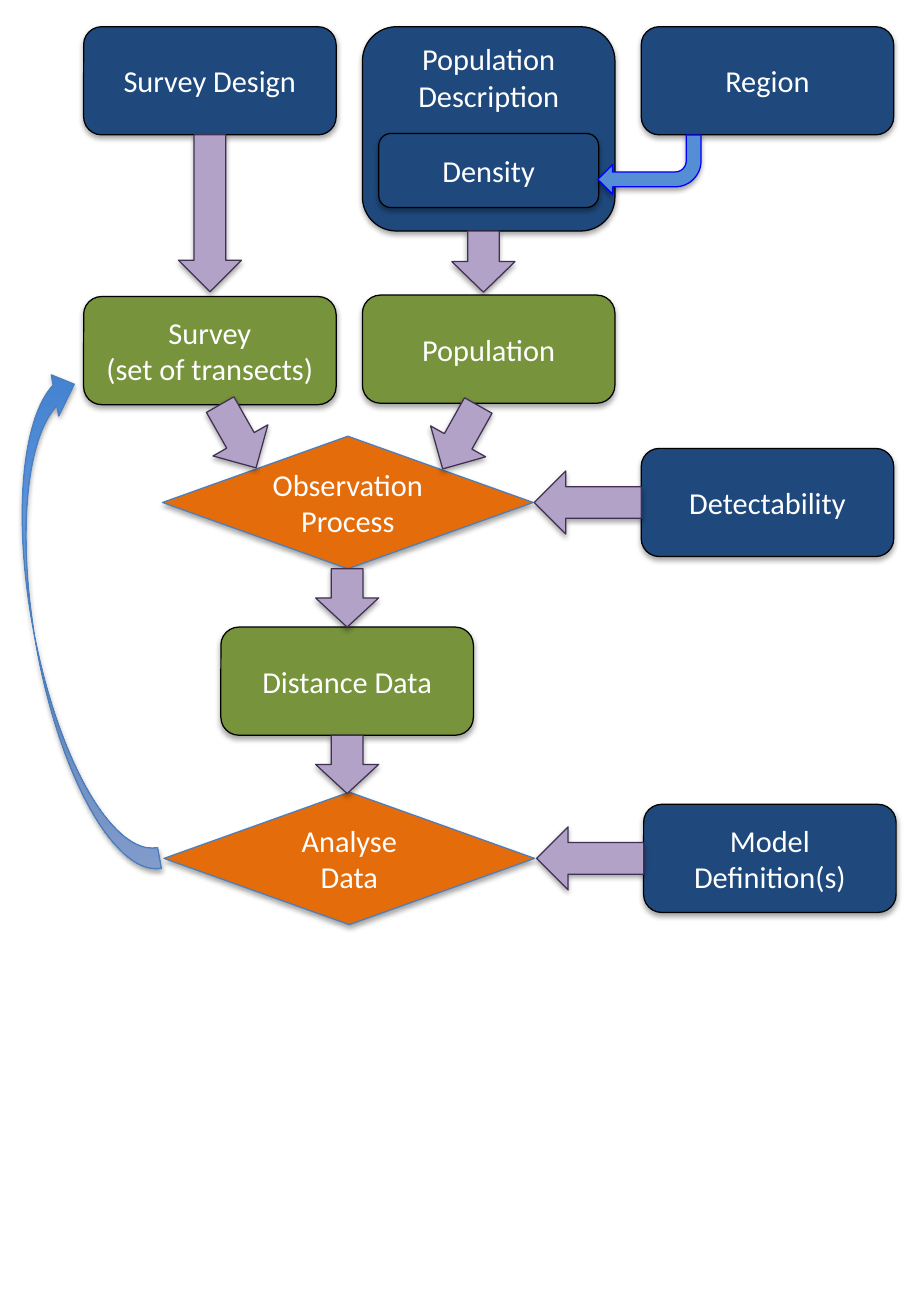
import pptx
import pptx.util
import pptx.dml.color
import pptx.enum.shapes
import pptx.enum.text
import pptx.oxml
import pptx.oxml.ns

Cm = pptx.util.Cm
Pt = pptx.util.Pt
MSO = pptx.enum.shapes.MSO_SHAPE
ANCHOR = pptx.enum.text.MSO_ANCHOR
ALIGN = pptx.enum.text.PP_ALIGN

NAVY, GREEN, ORANGE = "1F497D", "77933C", "E46C0A"
LILAC, PLUM, BLUE = "B3A2C7", "403152", "4B7EBC"
NODE_W, NODE_H, ARROW_W, DIAMOND_W = 5.28, 2.26, 1.32, 7.75

SHADOW = (
    '<a:outerShdw %s blurRad="40000" dist="23000" dir="5400000" rotWithShape="0">'
    '<a:srgbClr val="000000"><a:alpha val="35000"/></a:srgbClr></a:outerShdw>'
) % pptx.oxml.ns.nsdecls("a")


def rgb(color):
    return pptx.dml.color.RGBColor.from_string(color)


def write(sp, text, size=18, font="Calibri", color="FFFFFF", anchor=ANCHOR.MIDDLE):
    tf = sp.text_frame
    tf.word_wrap = True
    tf.vertical_anchor = anchor
    for i, line in enumerate(text.split("\n")):
        p = tf.paragraphs[0] if i == 0 else tf.add_paragraph()
        p.alignment = ALIGN.CENTER
        r = p.add_run()
        r.text = line
        r.font.size = Pt(size)
        r.font.name = font
        r.font.color.rgb = rgb(color)


def shape(s, kind, x, y, w, h, fill, line, rotation=0):
    sp = s.shapes.add_shape(kind, Cm(x), Cm(y), Cm(w), Cm(h))
    sp.rotation = rotation
    sp.fill.solid()
    sp.fill.fore_color.rgb = rgb(fill)
    sp.line.color.rgb = rgb(line)
    sp.line.width = Pt(0.75)
    sp.shadow.inherit = False
    effects = sp._element.spPr.find(pptx.oxml.ns.qn("a:effectLst"))
    effects.append(pptx.oxml.parse_xml(SHADOW))
    return sp


def node(s, text, x, y, fill, w=NODE_W, h=NODE_H, **fmt):
    sp = shape(s, MSO.ROUNDED_RECTANGLE, x, y, w, h, fill, "000000")
    write(sp, text, **fmt)
    return sp


def arrow(s, cx, cy, length, rotation=0):
    shape(s, MSO.DOWN_ARROW, cx - ARROW_W / 2, cy - length / 2,
          ARROW_W, length, LILAC, PLUM, rotation)


def definitions(s, x, y, w, h):
    pitch = (w - NODE_W) / 2
    node(s, "Survey Design", x, y, NAVY)
    population = node(s, "Population Description", x + pitch, y, NAVY,
                      h=h, anchor=ANCHOR.TOP)
    population.text_frame.margin_top = Cm(0.08)
    node(s, "Density", x + pitch + 0.34, y + 2.23, NAVY, w=4.6, h=1.55)
    node(s, "Region", x + 2 * pitch, y, NAVY)
    shape(s, MSO.BENT_ARROW, x + 10.75, y + NODE_H, 2.16, 1.24,
          "558ED5", "0000FF", 180)
    arrow(s, x + NODE_W / 2, y + NODE_H + 1.64, 3.28)
    arrow(s, x + pitch + 2.53, y + h + 0.64, 1.28)


def generated(s, x, y, w, h):
    right = x + w - NODE_W
    node(s, "Survey\n(set of transects)", x, y + h - NODE_H, GREEN)
    node(s, "Population", right, y, GREEN)
    arrow(s, x + 3.23, y + 2.95, 1.52, 330.4)
    arrow(s, right + 2.05, y + 2.97, 1.52, 29.3)


def process(s, text, source, x, y, w, h):
    sp = shape(s, MSO.DIAMOND, x, y, DIAMOND_W, h, ORANGE, BLUE)
    write(sp, text)
    left = x + w - NODE_W
    node(s, source, left, y + (h - NODE_H) / 2, NAVY)
    arrow(s, left - 1.12, y + h / 2, 2.24, 90)


def distance_data(s, x, y, w, h):
    gap = (h - NODE_H) / 2
    node(s, "Distance Data", x, y + gap, GREEN, w=w)
    for cy in (y + gap / 2, y + h - gap / 2):
        arrow(s, x + w / 2, cy, gap)


def feedback(s, x, y, w, h):
    sp = shape(s, MSO.CURVED_RIGHT_ARROW, x, y, w, h, BLUE, BLUE, 169.8)
    sp._element.spPr.find(pptx.oxml.ns.qn("a:xfrm")).set("flipH", "1")
    sp.fill.gradient()
    sp.fill.gradient_angle = 90
    for stop, color, position in zip(sp.fill.gradient_stops,
                                     ("3F80CE", "A4C4FF"), (0, 1)):
        stop.color.rgb = rgb(color)
        stop.position = position


def main():
    prs = pptx.Presentation()
    prs.slide_width, prs.slide_height = Cm(19.05), Cm(27.51)
    s = prs.slides.add_slide(prs.slide_layouts[6])
    definitions(s, 1.75, 0.56, 16.94, 4.27)
    process(s, "Observation\nProcess", "Detectability", 3.4, 9.12, 15.29, 2.77)
    generated(s, 1.75, 6.17, 11.11, 2.29)
    process(s, "Analyse\nData", "Model\nDefinition(s)", 3.43, 16.56, 15.31, 2.77)
    distance_data(s, 4.62, 11.89, NODE_W, 4.7)
    feedback(s, 0.69, 7.67, 1.75, 10.72)
    prs.save("out.pptx")


if __name__ == "__main__":
    main()
